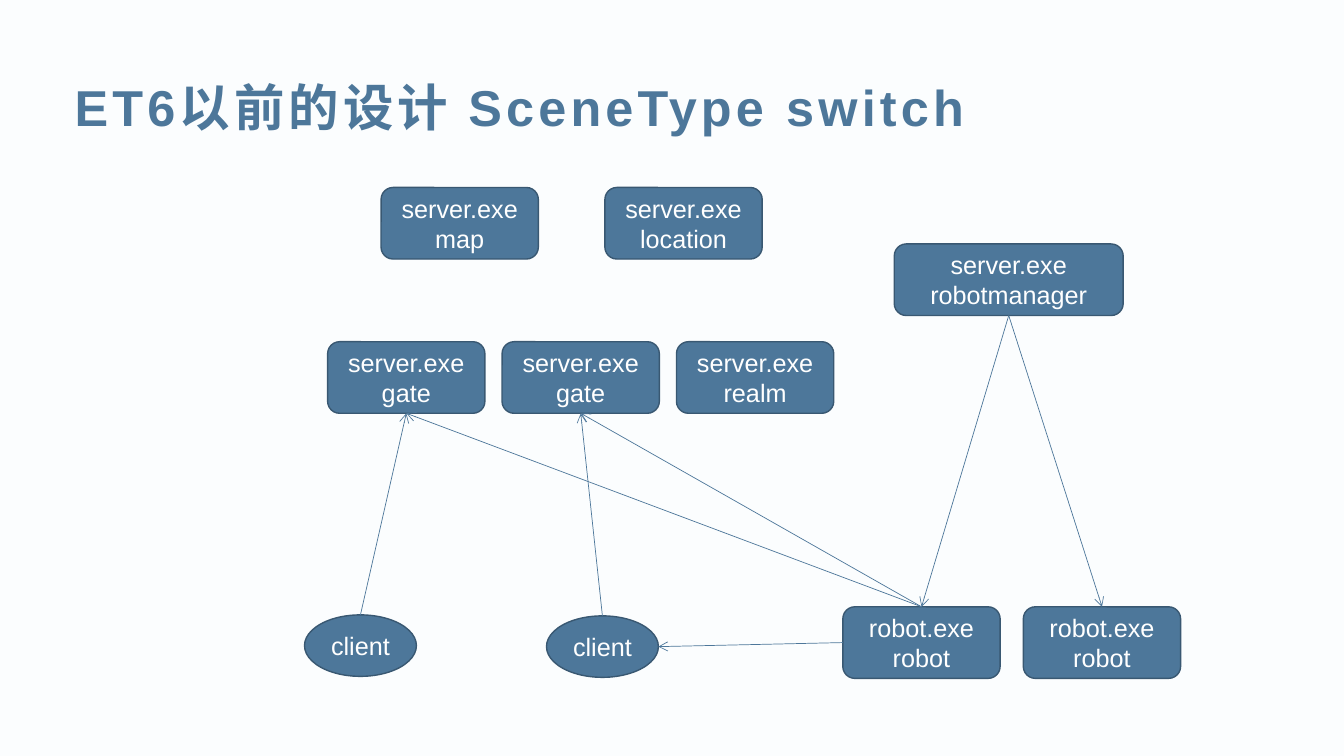
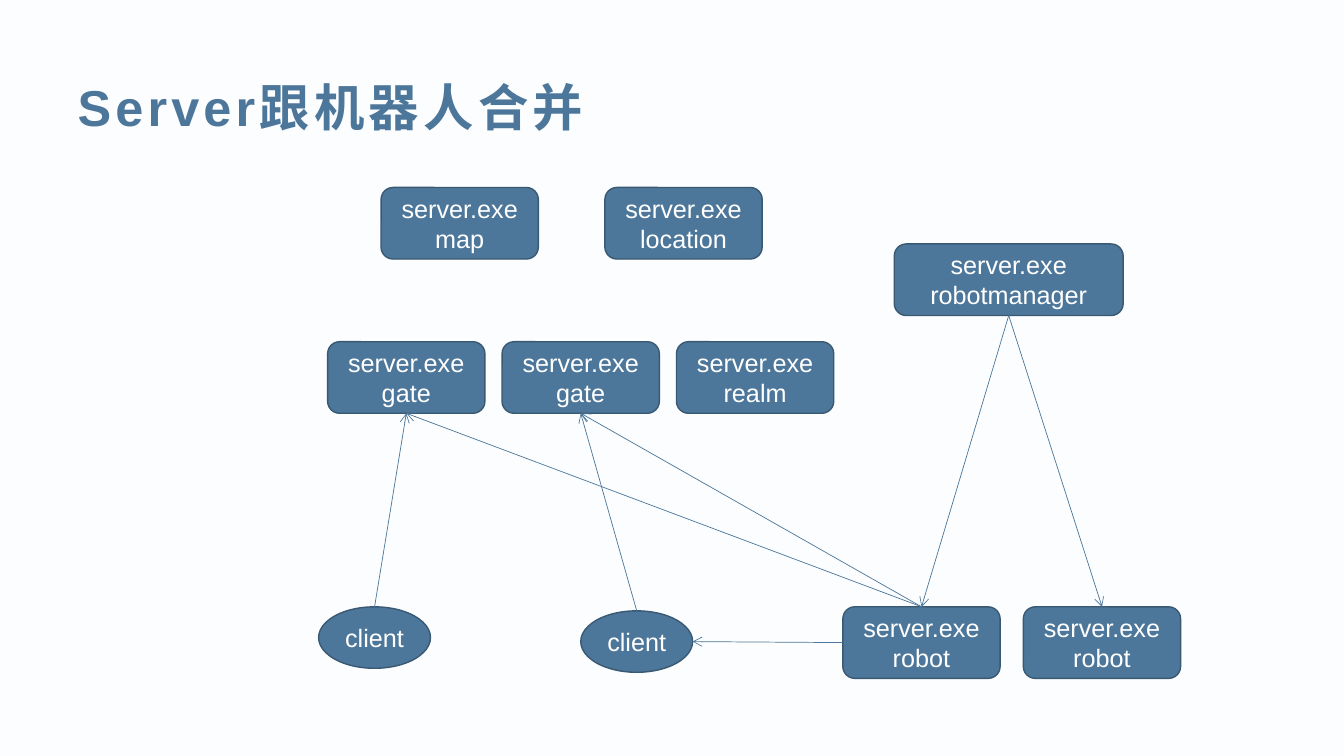
from dataclasses import dataclass

from lxml import etree
from pptx import Presentation
from pptx.dml.color import RGBColor
from pptx.enum.shapes import MSO_CONNECTOR, MSO_SHAPE
from pptx.enum.text import MSO_ANCHOR, MSO_AUTO_SIZE, PP_ALIGN
from pptx.oxml.ns import qn
from pptx.util import Inches, Pt

ROUNDED = MSO_SHAPE.ROUNDED_RECTANGLE
OVAL = MSO_SHAPE.OVAL
STRAIGHT = MSO_CONNECTOR.STRAIGHT
MIDDLE = MSO_ANCHOR.MIDDLE
NO_FIT = MSO_AUTO_SIZE.NONE
LEFT = PP_ALIGN.LEFT
CENTER = PP_ALIGN.CENTER

TOP_SITE, LEFT_SITE, BOTTOM_SITE, RIGHT_SITE = range(4)
OVAL_RIGHT_SITE = "6"
TITLE_ONLY_LAYOUT = 5


@dataclass(frozen=True)
class Theme:
    background: RGBColor = RGBColor(0xFB, 0xFD, 0xFE)
    accent: RGBColor = RGBColor(0x4D, 0x77, 0x9A)
    outline: RGBColor = RGBColor(0x39, 0x58, 0x72)
    label: RGBColor = RGBColor(0xFF, 0xFF, 0xFF)
    font: str = "Arial"
    title_size: float = 36
    title_spacing: float = 3
    label_size: float = 18
    outline_width: float = 1
    arrow_width: float = 0.5


@dataclass(frozen=True)
class Grid:
    left: float
    top: float
    step: float

    def cell(self, column):
        return self.left + column * self.step, self.top


THEME = Theme()
SLIDE_SIZE = (13.33, 7.5)
TITLE_TOP, TITLE_WIDTH, TITLE_HEIGHT = 0.67, 12.28, 0.77
PROCESS_SIZE = (1.56, 0.71)
MANAGER_SIZE = (2.27, 0.71)
CLIENT_SIZE = (1.11, 0.61)

WORLD_ROW = Grid(3.78, 1.86, 2.22)
GATE_ROW = Grid(3.25, 3.39, 1.73)
ROBOT_ROW = Grid(8.36, 6.02, 1.79)
MANAGER_PLACE = (8.87, 2.42)


def add_span(para, text, size, color, bold=False):
    span = para.add_run()
    span.text = text
    span.font.name = THEME.font
    span.font.size = Pt(size)
    span.font.bold = bold
    span.font.color.rgb = color
    return span


def add_title(page, text, left):
    title = page.shapes.title
    title.left, title.top = Inches(left), Inches(TITLE_TOP)
    title.width, title.height = Inches(TITLE_WIDTH), Inches(TITLE_HEIGHT)
    frame = title.text_frame
    frame.auto_size = NO_FIT
    frame.vertical_anchor = MIDDLE
    para = frame.paragraphs[0]
    para.alignment = LEFT
    span = add_span(para, text, THEME.title_size, THEME.accent, bold=True)
    span.font._element.set("spc", str(THEME.title_spacing * 100))


def add_node(page, kind, place, size, lines):
    box = page.shapes.add_shape(kind, *map(Inches, place + size))
    box.shadow.inherit = False
    box.fill.solid()
    box.fill.fore_color.rgb = THEME.accent
    box.line.color.rgb = THEME.outline
    box.line.width = Pt(THEME.outline_width)
    frame = box.text_frame
    frame.word_wrap = True
    frame.vertical_anchor = MIDDLE
    for index, line in enumerate(lines):
        para = frame.add_paragraph() if index else frame.paragraphs[0]
        para.alignment = CENTER
        add_span(para, line, THEME.label_size, THEME.label)
    return box


def add_process(page, place, program, role, size=PROCESS_SIZE):
    return add_node(page, ROUNDED, place, size, (program, role))


def add_process_row(page, grid, program, roles):
    return [add_process(page, grid.cell(column), program, role)
            for column, role in enumerate(roles)]


def add_arrow(page, source, source_site, target, target_site):
    arrow = page.shapes.add_connector(STRAIGHT, 0, 0, 0, 0)
    arrow.begin_connect(source, source_site)
    arrow.end_connect(target, target_site)
    if target.auto_shape_type == OVAL and target_site == RIGHT_SITE:
        arrow._element.find(".//" + qn("a:endCxn")).set("idx", OVAL_RIGHT_SITE)
    arrow.line.color.rgb = THEME.accent
    arrow.line.width = Pt(THEME.arrow_width)
    etree.SubElement(arrow.line._get_or_add_ln(), qn("a:tailEnd"), type="arrow")
    etree.SubElement(arrow._element.spPr, qn("a:effectLst"))


def add_architecture(deck, title, title_left, robot_program, client_places):
    page = deck.slides.add_slide(deck.slide_layouts[TITLE_ONLY_LAYOUT])
    add_title(page, title, title_left)

    gates = add_process_row(page, GATE_ROW, "server.exe", ("gate", "gate", "realm"))[:2]
    clients = [add_node(page, OVAL, place, CLIENT_SIZE, ("client",))
               for place in client_places]
    add_process_row(page, WORLD_ROW, "server.exe", ("map", "location"))
    robots = add_process_row(page, ROBOT_ROW, robot_program, ("robot", "robot"))
    manager = add_process(page, MANAGER_PLACE, "server.exe", "robotmanager", MANAGER_SIZE)

    for robot in robots:
        add_arrow(page, manager, BOTTOM_SITE, robot, TOP_SITE)
    for gate in gates:
        add_arrow(page, robots[0], TOP_SITE, gate, BOTTOM_SITE)
    for client, gate in zip(clients, gates):
        add_arrow(page, client, TOP_SITE, gate, BOTTOM_SITE)
    add_arrow(page, robots[0], LEFT_SITE, clients[1], RIGHT_SITE)


def main():
    deck = Presentation()
    deck.slide_width, deck.slide_height = map(Inches, SLIDE_SIZE)
    backdrop = deck.slide_master.background.fill
    backdrop.solid()
    backdrop.fore_color.rgb = THEME.background

    add_architecture(deck, "ET6以前的设计 SceneType switch", 0.64, "robot.exe",
                     ((3.02, 6.1), (5.42, 6.11)))
    add_architecture(deck, "Server跟机器人合并", 0.67, "server.exe",
                     ((3.16, 6.02), (5.76, 6.06)))
    deck.save("out.pptx")


if __name__ == "__main__":
    main()
